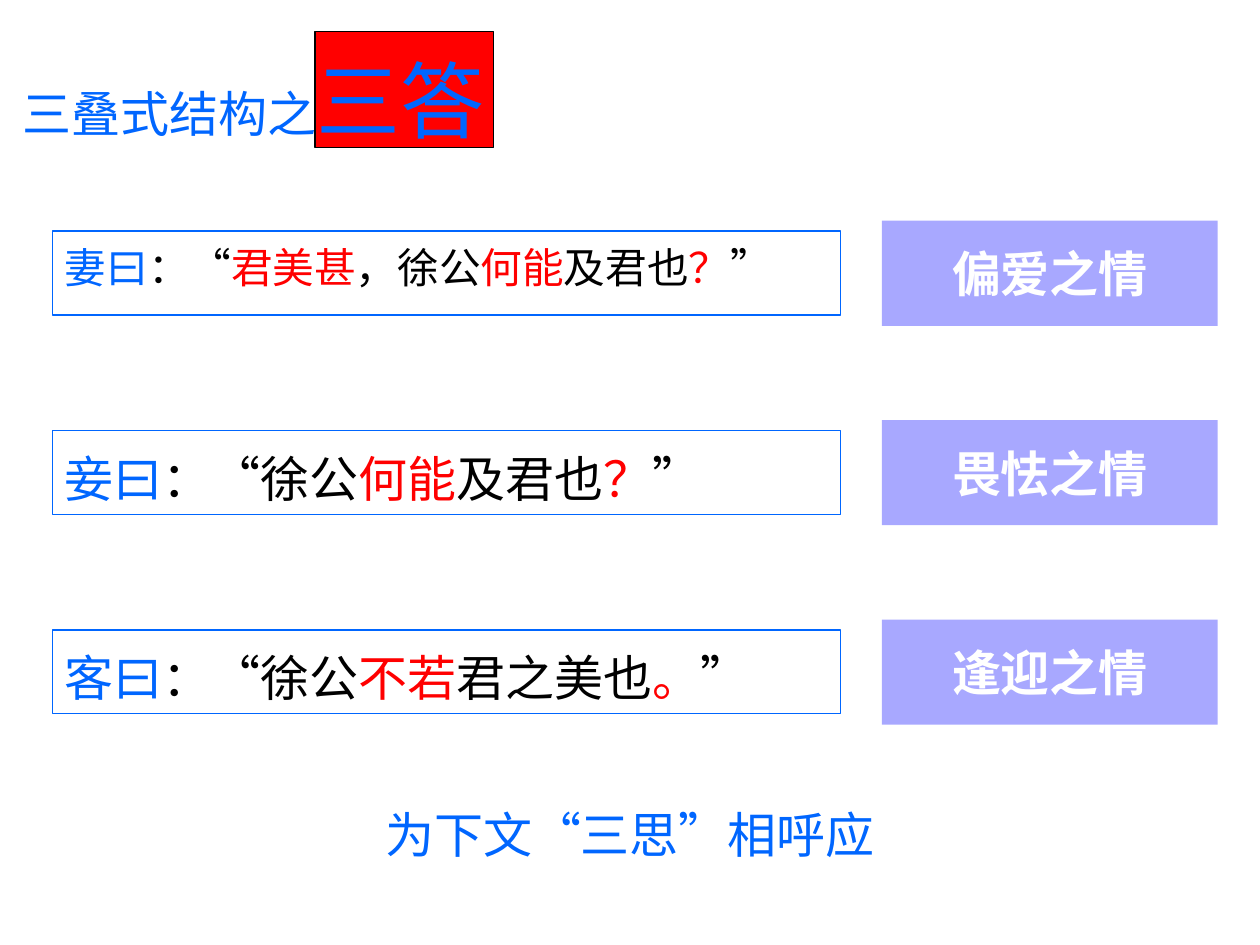
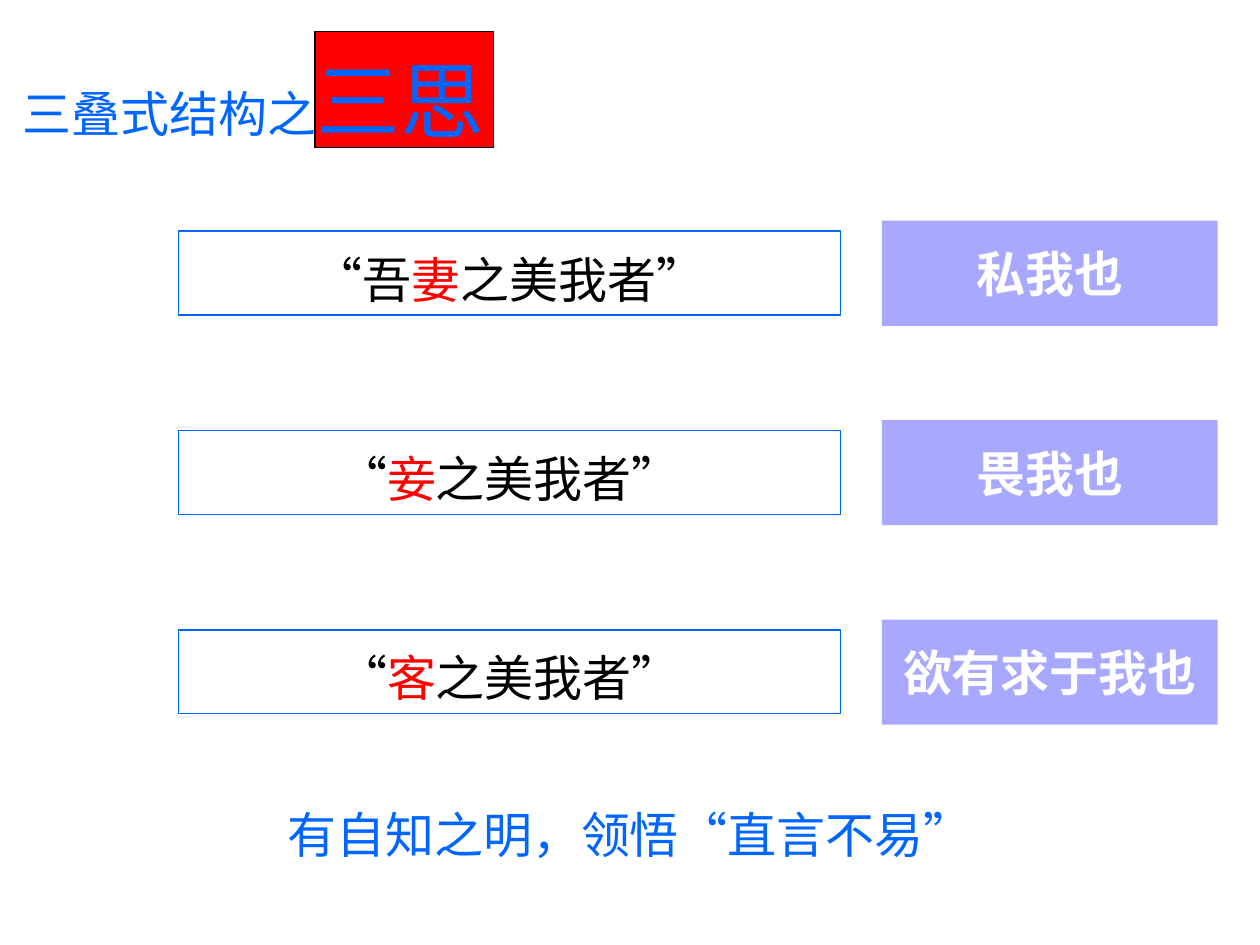
import pptx
import pptx.util
import pptx.dml.color
import pptx.enum.lang
import pptx.enum.shapes
import pptx.enum.text
import pptx.oxml
import pptx.oxml.ns

Cm, Pt = pptx.util.Cm, pptx.util.Pt
PP_ALIGN = pptx.enum.text.PP_ALIGN
ANCHOR = pptx.enum.text.MSO_ANCHOR
RECT = pptx.enum.shapes.MSO_SHAPE.RECTANGLE

BLUE, RED, BLACK, WHITE, TAG = "0066FF", "FF0000", "000000", "FFFFFF", "0000FF"
JP, SC, ARIAL = "Noto Sans CJK JP", "Noto Sans CJK SC", "Arial"
ROW_TOP, TAG_TOP, ROW_STEP = 4.66, 4.45, 4.02
ROW_RIGHT = 16.94


def rgb(value):
    return pptx.dml.color.RGBColor.from_string(value)


def add_box(s, at, runs, font, fill=None, line=None, shape=True, frame=None, para=None, bold=False):
    """Add a rectangle or text box; runs are (text, colour, size)."""
    at = [Cm(v) for v in at]
    if shape:
        sp = s.shapes.add_shape(RECT, *at)
        sp.shadow.inherit = False
    else:
        sp = s.shapes.add_textbox(*at)
    if fill:
        sp.fill.solid()
        sp.fill.fore_color.rgb = rgb(fill)
    else:
        sp.fill.background()
    if line:
        sp.line.color.rgb = rgb(line)
        sp.line.width = Pt(0.75)
    else:
        sp.line.fill.background()
    tf = sp.text_frame
    p = tf.paragraphs[0]
    frame = {"word_wrap": True, "vertical_anchor": ANCHOR.TOP, **(frame or {})}
    para = {"alignment": PP_ALIGN.LEFT, **(para or {})}
    for target, values in ((tf, frame), (p, para)):
        for name, value in values.items():
            setattr(target, name, value)
    for text, color, size in runs:
        r = p.add_run()
        r.text = text
        values = {"size": Pt(size), "name": font, "bold": bold,
                  "language_id": pptx.enum.lang.MSO_LANGUAGE_ID.SIMPLIFIED_CHINESE}
        for name, value in values.items():
            setattr(r.font, name, value)
        r.font.color.rgb = rgb(color)
        # Chinese glyphs use the East Asian font slot
        ea = pptx.oxml.parse_xml("<a:ea %s/>" % pptx.oxml.ns.nsdecls("a"))
        ea.set("typeface", SC if font == ARIAL else font)
        r.font._element.find(pptx.oxml.ns.qn("a:latin")).addnext(ea)
    return sp


slides = [
    {
        "topic": "三答", "row_left": 1.06, "align": PP_ALIGN.LEFT, "font": SC,
        "rows": [
            (23.8, 1.1, [("妻曰", BLUE), ("：“", BLACK), ("君美甚", RED), ("，徐公", BLACK),
                         ("何能", RED), ("及君也", BLACK), ("？", RED), ("”", BLACK)]),
            (28, 1.2, [("妾曰", BLUE), ("：“徐公", BLACK), ("何能", RED),
                       ("及君也", BLACK), ("？", RED), ("”", BLACK)]),
            (28, 1.2, [("客曰", BLUE), ("：“徐公", BLACK), ("不若", RED),
                       ("君之美也", BLACK), ("。", RED), ("”", BLACK)]),
        ],
        "tags": ["偏爱之情", "畏怯之情", "逢迎之情"],
        "summary": "为下文“三思”相呼应",
    },
    {
        "topic": "三思", "row_left": 3.6, "align": PP_ALIGN.CENTER, "font": ARIAL,
        "rows": [
            (28, 1.2, [(start, BLACK), (who, RED), ("之美我者”", BLACK)])
            for start, who in (("“吾", "妻"), ("“", "妾"), ("“", "客"))
        ],
        "tags": ["私我也", "畏我也", "欲有求于我也"],
        "summary": "有自知之明，领悟“直言不易”",
    },
]

prs = pptx.Presentation()
prs.slide_width, prs.slide_height = Cm(25.4), Cm(19.05)

for content in slides:
    s = prs.slides.add_slide(prs.slide_layouts[6])

    # Title over its red highlight
    add_box(s, (6.35, 0.64, 3.6, 2.33), [], JP, fill=RED, line=BLACK)
    add_box(s, (0.21, 0.21, 11, 3.18),
            [("三叠式结构之", BLUE, 28), (content["topic"], BLUE, 48)], JP, shape=False,
            frame={"vertical_anchor": ANCHOR.MIDDLE},
            para={"line_spacing": 1.2, "space_before": Pt(11.9)})

    # Quotations
    left = content["row_left"]
    for i, (size, spacing, parts) in enumerate(content["rows"]):
        add_box(s, (left, ROW_TOP + i * ROW_STEP, ROW_RIGHT - left, 1.69),
                [(text, color, size) for text, color in parts], content["font"], line=BLUE,
                para={"alignment": content["align"], "line_spacing": spacing, "space_before": Pt(7)})

    # Translucent tags naming each motive
    for i, tag in enumerate(content["tags"]):
        sp = add_box(s, (17.78, TAG_TOP + i * ROW_STEP, 6.77, 2.12), [(tag, WHITE, 28)], ARIAL,
                     fill=TAG, bold=True, para={"alignment": PP_ALIGN.CENTER},
                     frame={"word_wrap": False, "vertical_anchor": ANCHOR.MIDDLE})
        color = sp._element.spPr.find(".//" + pptx.oxml.ns.qn("a:srgbClr"))
        color.append(pptx.oxml.parse_xml('<a:alpha %s val="34000"/>' % pptx.oxml.ns.nsdecls("a")))

    # Summary line
    add_box(s, (4.87, 16.09, 15.66, 1.45), [(content["summary"], BLUE, 28)], JP, shape=False,
            frame={"auto_size": pptx.enum.text.MSO_AUTO_SIZE.SHAPE_TO_FIT_TEXT},
            para={"alignment": PP_ALIGN.CENTER, "space_before": Pt(17.5)})

prs.save("out.pptx")
